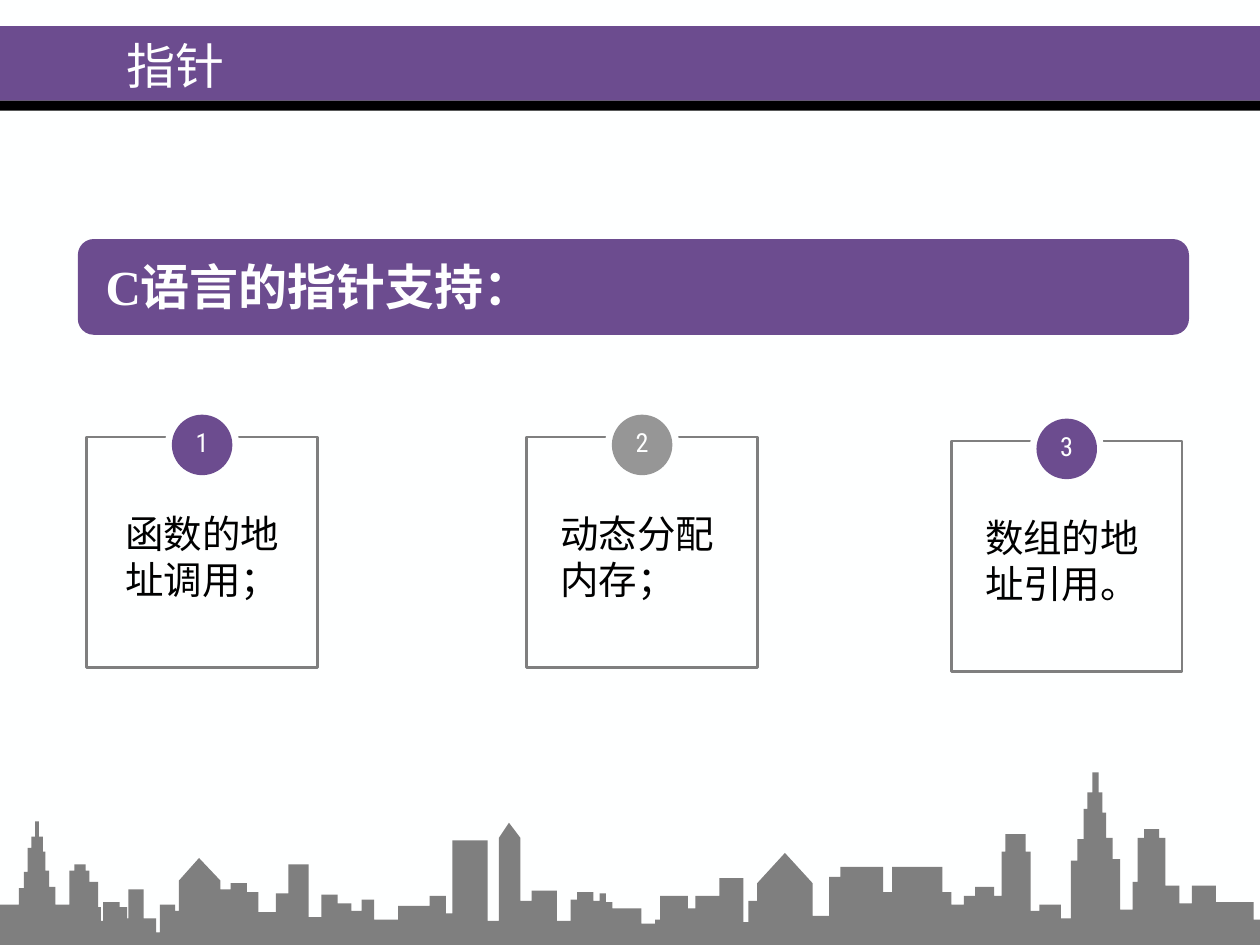
from pptx import Presentation
from pptx.dml.color import RGBColor
from pptx.enum.shapes import MSO_SHAPE
from pptx.enum.text import MSO_ANCHOR, MSO_AUTO_SIZE, PP_ALIGN
from pptx.util import Cm, Pt

COLORS = {"paper": "FEFFFF", "purple": "6C4C8F", "black": "000000",
          "gray": "7F7F7F", "silver": "969696"}
SERIF, SANS = "Times New Roman", "Roboto Condensed"

TITLE = "指针"
HEADING = "C语言的指针支持："
# left, top, disc colour, text, text inset, text width (cm)
CARDS = [
    (1.75, 8.81, "purple", "函数的地址调用；", 0.53, 3.76),
    (10.62, 8.81, "silver", "动态分配内存；", 0.43, 4.04),
    (19.18, 8.89, "purple", "数组的地址引用。", 0.43, 3.96),
]
BOX, HALO, DISC = 4.65, 1.5, 1.22

# Skyline in units of 0.0254 cm: wall x and roof y, then the apex of a gable
UNIT, RIGHT, BOTTOM = 0.0254, 1000, 750
SKYLINE = [
    (0, 718), (15, 705), (19, 692), (22, 673), (25, 664), (28, 652), (31, 664),
    (34, 676), (36, 691), (39, 704), (44, 718), (55, 691), (59, 686), (68, 691),
    (71, 700), (78, 720), (80, 731), (82, 716), (95, 720), (101, 729), (102, 706),
    (114, 729), (124, 740), (127, 718), (139, 723), (142, 699, 158, 681),
    (175, 706), (183, 701), (196, 708), (205, 724), (219, 709), (229, 686),
    (245, 728), (255, 710), (268, 717), (279, 723), (287, 714), (297, 730),
    (316, 719), (341, 711), (354, 725), (359, 667), (387, 731),
    (396, 665, 404, 653), (413, 715), (422, 707), (442, 731), (453, 714),
    (458, 708), (471, 715), (476, 709), (481, 716), (486, 721), (509, 733),
    (520, 730), (524, 711), (546, 721), (552, 711), (571, 697), (590, 732),
    (594, 715), (601, 701, 623, 677), (645, 727), (658, 696), (667, 688),
    (701, 708), (708, 688), (748, 708), (755, 718), (765, 711), (774, 704),
    (789, 711), (795, 676), (798, 662), (814, 676), (818, 723), (825, 718),
    (842, 729), (850, 683), (855, 666), (860, 642), (863, 629), (867, 613),
    (872, 629), (875, 645), (878, 665), (883, 682), (889, 722), (899, 700),
    (903, 665), (908, 658), (920, 665), (925, 703), (936, 717), (946, 703),
    (965, 716), (995, 730),
]


def rgb(name):
    return RGBColor.from_string(COLORS[name])


def paint(sp, fill, line=None):
    sp.shadow.inherit = False
    sp.fill.solid()
    sp.fill.fore_color.rgb = rgb(fill)
    if line:
        sp.line.color.rgb = rgb(line)
        sp.line.width = Pt(1.5)
    else:
        sp.line.fill.background()


def add_shape(shapes, kind, x, y, w, h, fill, line=None):
    sp = shapes.add_shape(kind, Cm(x), Cm(y), Cm(w), Cm(h))
    paint(sp, fill, line)
    return sp


def write(sp, text, size, color, font=SERIF, bold=False, align=PP_ALIGN.LEFT):
    p = sp.text_frame.paragraphs[0]
    p.text = text
    p.alignment = align
    p.font.name, p.font.size, p.font.bold = font, Pt(size), bold
    p.font.color.rgb = rgb(color)
    return p


def add_text(shapes, x, y, w, h, text, size, color, before, bold=False, wrap=True):
    sp = shapes.add_textbox(Cm(x), Cm(y), Cm(w), Cm(h))
    sp.text_frame.word_wrap = wrap
    write(sp, text, size, color, bold=bold).space_before = Pt(before)


def add_card(s, number, x, y, color, text, inset, width):
    shapes = s.shapes.add_group_shape().shapes
    add_shape(shapes, MSO_SHAPE.RECTANGLE, x, y, BOX, BOX, "paper", "gray")
    cx, cy = x + BOX / 2, y + 0.16
    for d, fill in ((HALO, "paper"), (DISC, color)):
        disc = add_shape(shapes, MSO_SHAPE.OVAL, cx - d / 2, cy - d / 2, d, d, fill)
    disc.text_frame.vertical_anchor = MSO_ANCHOR.MIDDLE
    p = write(disc, str(number), 15, "paper", SANS, align=PP_ALIGN.CENTER)
    p.line_spacing = 0.8
    add_text(shapes, x + inset, y + 1.35, width, 2.13, text, 22, "black", 5.5)


def add_skyline(s):
    points, roof = [], BOTTOM
    for x, y, *apex in SKYLINE:
        points += [(x, roof), (x, y)]
        if apex:
            points.append(tuple(apex))
        roof = y
    points += [(RIGHT, roof), (RIGHT, BOTTOM)]
    builder = s.shapes.build_freeform(*points[0], scale=Cm(UNIT))
    builder.add_line_segments(points[1:], close=True)
    paint(builder.convert_to_shape(), "gray")


def main():
    prs = Presentation()
    prs.slide_width, prs.slide_height = Cm(25.4), Cm(19.05)
    s = prs.slides.add_slide(prs.slide_layouts[5])
    s.background.fill.solid()
    s.background.fill.fore_color.rgb = rgb("paper")

    # Title on its bands
    add_shape(s.shapes, MSO_SHAPE.RECTANGLE, 0, 0.53, 25.4, 1.5, "purple")
    add_shape(s.shapes, MSO_SHAPE.RECTANGLE, 0, 2.03, 25.4, 0.2, "black")
    title = s.shapes.title
    title.left, title.top, title.width, title.height = Cm(2.29), Cm(0.53), Cm(11.5), Cm(1.57)
    title.text_frame.vertical_anchor = MSO_ANCHOR.MIDDLE
    title.text_frame.auto_size = MSO_AUTO_SIZE.NONE
    write(title, TITLE, 28, "paper")
    s.shapes._spTree.append(title._element)  # bring in front of the bands

    # Heading bar
    add_shape(s.shapes, MSO_SHAPE.ROUNDED_RECTANGLE, 1.57, 4.82, 22.4, 1.93, "purple")
    add_text(s.shapes, 1.88, 5.05, 9.35, 1.45, HEADING, 28, "paper", 7, bold=True, wrap=False)

    # Numbered cards and skyline
    for number, card in enumerate(CARDS, 1):
        add_card(s, number, *card)
    add_skyline(s)
    prs.save("out.pptx")


if __name__ == "__main__":
    main()
